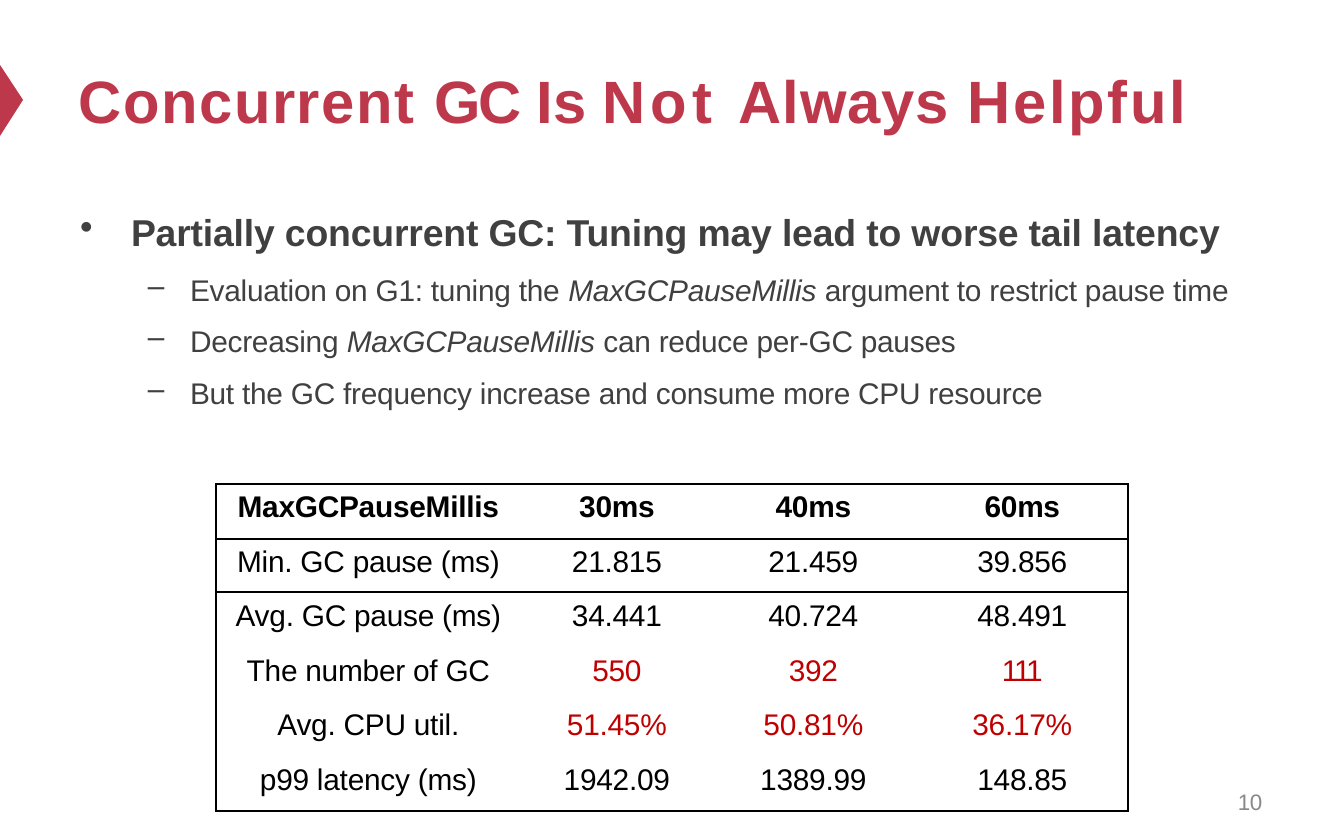
from lxml import etree
from pptx import Presentation
from pptx import util as u
from pptx.dml.color import RGBColor
from pptx.enum import text
from pptx.oxml import ns

PX = 914400 / 134.4
CRIMSON, DARK, GREY, BLACK, RED = "BE384B", "404040", "898989", "000000", "C00000"


def px(n):
    return u.Emu(round(n * PX))


def add_run(paragraph, words, size, color, spacing=-0.1, **formats):
    """Append a run; spacing is the letter spacing in points."""
    run = paragraph.add_run()
    run.text = words
    run.font.color.rgb = RGBColor.from_string(color)
    for name, value in {"name": "Arial", "size": u.Pt(size), **formats}.items():
        setattr(run.font, name, value)
    run.font._element.set("spc", str(round(spacing * 100)))


prs = Presentation()
prs.slide_width, prs.slide_height = px(1344), px(840)
slide = prs.slides.add_slide(prs.slide_layouts[5])

# Marker at the left edge
builder = slide.shapes.build_freeform(0, 65, scale=PX)
builder.add_line_segments([(0, 136), (23, 100)], close=True)
marker = builder.convert_to_shape()
marker.shadow.inherit = False
marker.fill.solid()
marker.fill.fore_color.rgb = RGBColor.from_string(CRIMSON)
marker.line.fill.background()

# Text frames
title = slide.shapes.title
title.left, title.top, title.width, title.height = px(79), px(60), px(1111), px(76)
body = slide.shapes.add_textbox(px(79), px(185), px(1171), px(219))
page_number = slide.shapes.add_textbox(px(1238), px(784), px(27), px(31))
BOTTOM, TOP = text.MSO_ANCHOR.BOTTOM, text.MSO_ANCHOR.TOP
for shape, inset, anchor, wrap in [(title, 0, BOTTOM, False), (body, 24, TOP, True),
                                   (page_number, 0, BOTTOM, False)]:
    frame_format = {"margin_left": 0, "margin_right": 0, "margin_top": px(inset),
                    "margin_bottom": 0, "vertical_anchor": anchor,
                    "word_wrap": wrap, "auto_size": text.MSO_AUTO_SIZE.NONE}
    for name, value in frame_format.items():
        setattr(shape.text_frame, name, value)

heading = title.text_frame.paragraphs[0]
heading.alignment = text.PP_ALIGN.LEFT
for word, spacing in [("Concurrent ", 0.8), ("GC ", -1), ("Is ", -0.1),
                      ("Not ", 2.6), ("Always ", 0.5), ("Helpful", 1.4)]:
    add_run(heading, word, 32, CRIMSON, spacing, bold=True)
add_run(page_number.text_frame.paragraphs[0], "10", 12, GREY, -0.3)

# Bullets: level, space before, runs (every second run is italic)
points = [
    (0, 0, ["Partially concurrent GC: Tuning may lead to worse tail latency"]),
    (1, 9.5, ["Evaluation on G1: tuning the ", "MaxGCPauseMillis ",
              "argument to restrict pause time"]),
    (1, 8.4, ["Decreasing ", "MaxGCPauseMillis ", "can reduce per-GC pauses"]),
    (1, 8.4, ["But the GC frequency increase and consume more CPU resource"]),
]
levels = [("•", 52, 51, 20), ("–", 111, 42, 16)]
for i, (level, space, runs) in enumerate(points):
    bullet, indent, hanging, size = levels[level]
    frame = body.text_frame
    point = frame.add_paragraph() if i else frame.paragraphs[0]
    point.level = level
    props = point._p.get_or_add_pPr()
    props.set("marL", str(px(indent)))
    props.set("indent", str(-px(hanging)))
    etree.SubElement(props, ns.qn("a:buChar"), char=bullet)
    point.space_before = u.Pt(space)
    for j, words in enumerate(runs):
        add_run(point, words, size, DARK, bold=level == 0, italic=j % 2 == 1)

# Table of pause settings
results = [
    ["MaxGCPauseMillis", "30ms", "40ms", "60ms"],
    ["Min. GC pause (ms)", "21.815", "21.459", "39.856"],
    ["Avg. GC pause (ms)", "34.441", "40.724", "48.491"],
    ["The number of GC", "550", "392", "111"],
    ["Avg. CPU util.", "51.45%", "50.81%", "36.17%"],
    ["p99 latency (ms)", "1942.09", "1389.99", "148.85"],
]
column_widths = [317, 182, 205, 208]
right_margins = [12, 14, 8, 3]
row_heights = [55, 53, 55, 54, 55, 55]
ruled_rows = {0, 1, 2, len(results)}
table = slide.shapes.add_table(len(results), len(column_widths), px(216), px(484),
                               px(sum(column_widths)), px(sum(row_heights))).table
table.first_row = table.horz_banding = False
for column, width in zip(table.columns, column_widths):
    column.width = px(width)
for r, (row, height) in enumerate(zip(results, row_heights)):
    table.rows[r].height = px(height)
    for c, value in enumerate(row):
        cell = table.cell(r, c)
        cell_format = {"margin_left": 0, "margin_right": px(right_margins[c]),
                       "margin_top": px(7 if r < 2 else 8), "margin_bottom": 0,
                       "vertical_anchor": TOP}
        for name, setting in cell_format.items():
            setattr(cell, name, setting)
        paragraph = cell.text_frame.paragraphs[0]
        paragraph.alignment = text.PP_ALIGN.CENTER
        highlighted = r in (3, 4) and c > 0
        add_run(paragraph, value, 16, RED if highlighted else BLACK,
                -1.2 if value == "111" else -0.1, bold=r == 0)

        borders = {"lnL": c == 0, "lnR": c == len(row) - 1,
                   "lnT": r in ruled_rows, "lnB": r + 1 in ruled_rows}
        cell_props = cell._tc.get_or_add_tcPr()
        for edge, ruled in borders.items():
            line = etree.SubElement(cell_props, ns.qn("a:" + edge), w=str(u.Pt(1.5)))
            if ruled:
                fill = etree.SubElement(line, ns.qn("a:solidFill"))
                etree.SubElement(fill, ns.qn("a:srgbClr"), val=BLACK)
            else:
                etree.SubElement(line, ns.qn("a:noFill"))
        cell.fill.background()

prs.save("out.pptx")
